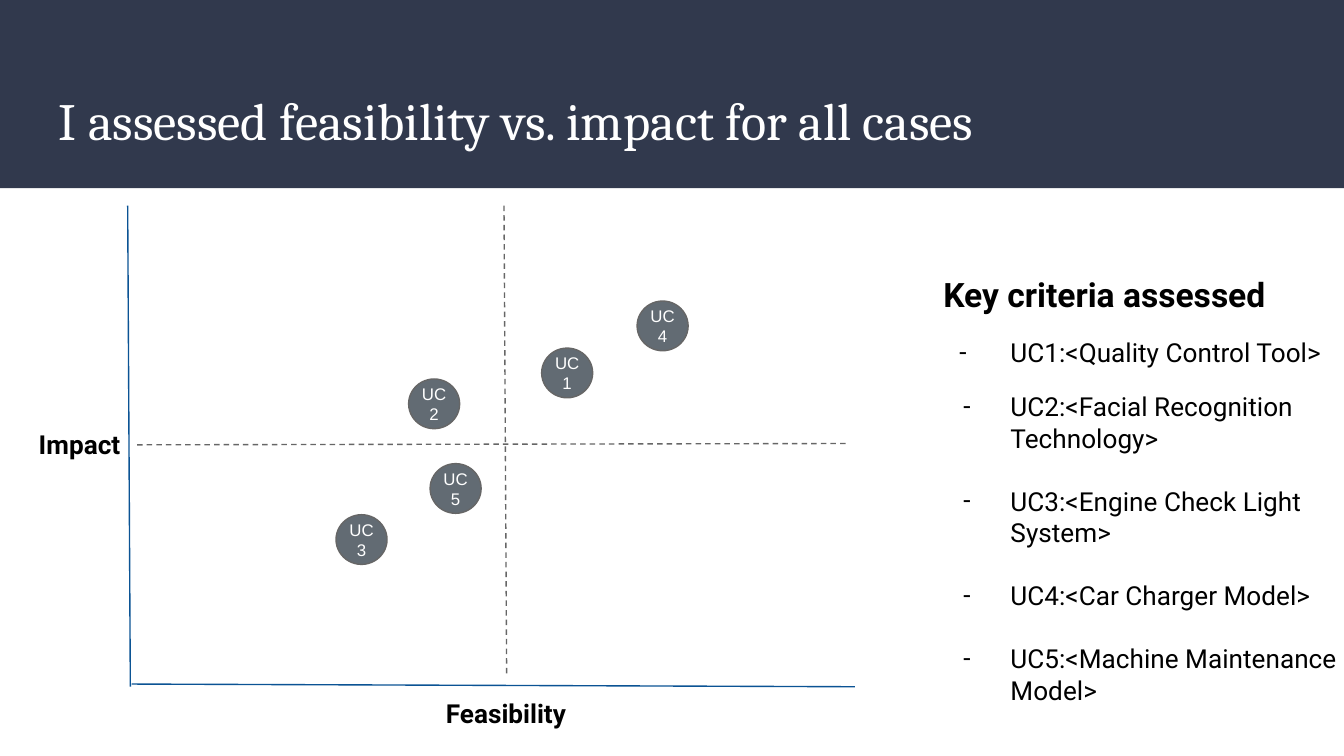
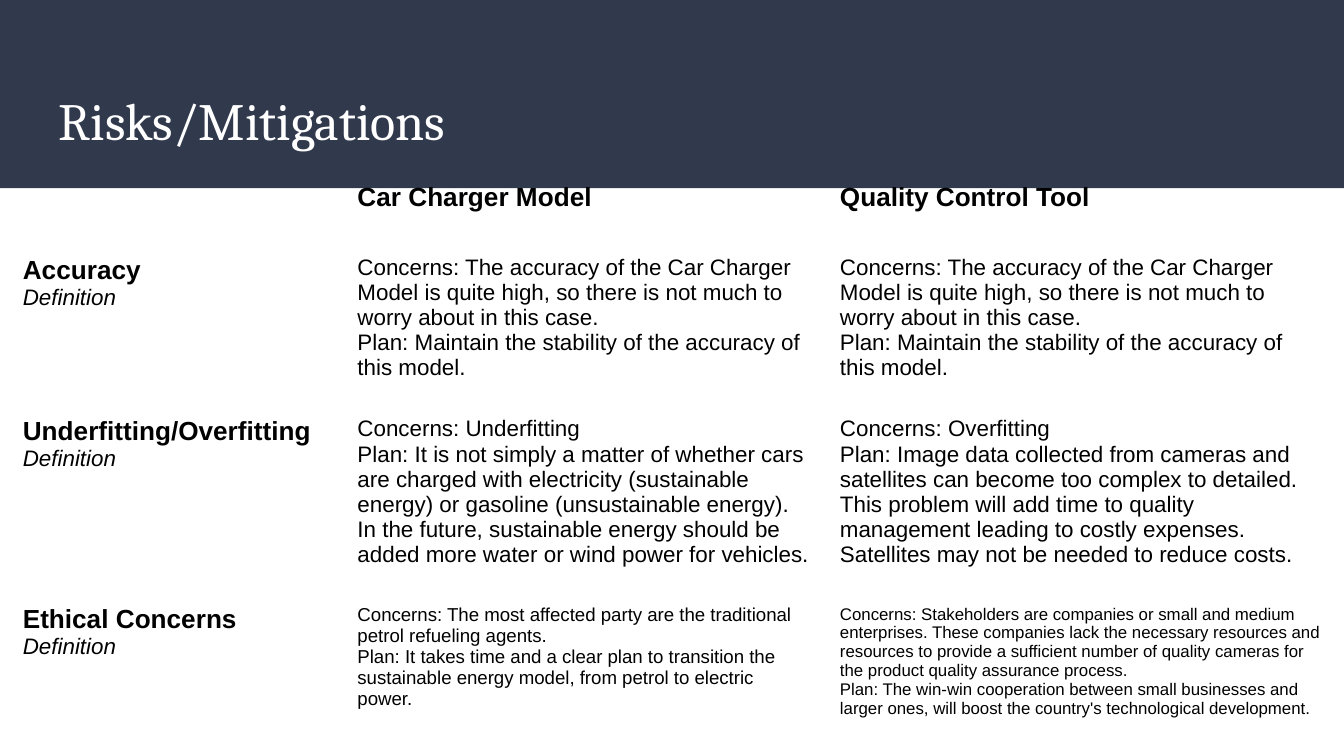
from lxml import etree
from pptx import Presentation
from pptx.dml.color import RGBColor
from pptx.enum.dml import MSO_LINE
from pptx.enum.shapes import MSO_CONNECTOR, MSO_SHAPE
from pptx.enum.text import MSO_ANCHOR, PP_ALIGN
from pptx.oxml.ns import qn
from pptx.util import Inches, Pt

RECT, OVAL = MSO_SHAPE.RECTANGLE, MSO_SHAPE.OVAL
STRAIGHT = MSO_CONNECTOR.STRAIGHT
DASH, SOLID = MSO_LINE.DASH, MSO_LINE.SOLID
MIDDLE = MSO_ANCHOR.MIDDLE
LEFT, CENTER = PP_ALIGN.LEFT, PP_ALIGN.CENTER
NO_STYLE = "{2D5ABB26-0587-4C30-8999-92F81FD0307C}"

COLORS = {k: RGBColor.from_string(v) for k, v in {
    "band": "31394D",
    "white": "FFFFFF",
    "black": "000000",
    "dot": "626B73",
    "grey": "666666",
    "axis": "0B5394",
}.items()}


def write(p, text, size=12, font="Arial", color="black", bold=False, italic=False, align=LEFT):
    p.alignment = align
    for i, line in enumerate(text.split("\n")):
        if i:
            p.add_line_break()
        if line:
            r = p.add_run()
            r.text = line
            r.font.size = Pt(size)
            r.font.name = font
            r.font.bold = bold
            r.font.italic = italic
            r.font.color.rgb = COLORS[color]


def add_box(s, x, y, w, h):
    tf = s.shapes.add_textbox(Inches(x), Inches(y), Inches(w), Inches(h)).text_frame
    tf.word_wrap = True
    tf.margin_left = tf.margin_right = tf.margin_top = tf.margin_bottom = Inches(0.1)
    return tf


prs = Presentation()
prs.slide_width = Inches(10)
prs.slide_height = Inches(5.625)

slides = []
for title in ["I assessed feasibility vs. impact for all cases", "Risks/Mitigations"]:
    s = prs.slides.add_slide(prs.slide_layouts[6])
    band = s.shapes.add_shape(RECT, 0, 0, prs.slide_width, Inches(1.4))
    band.shadow.inherit = False
    band.fill.solid()
    band.fill.fore_color.rgb = COLORS["band"]
    band.line.fill.background()
    tf = add_box(s, 0.34, 0.55, 9.32, 0.68)
    tf.vertical_anchor = MIDDLE
    write(tf.paragraphs[0], title, size=28, font="Cambria", color="white")
    slides.append(s)

matrix, risks = slides

LINES = [
    (3.75, 1.53, 3.77, 5.02, "grey", DASH),
    (1.02, 3.31, 6.31, 3.3, "grey", DASH),
    (0.95, 1.53, 0.97, 5.11, "axis", SOLID),
    (6.36, 5.11, 0.98, 5.09, "axis", SOLID),
]
for x1, y1, x2, y2, color, dash in LINES:
    line = matrix.shapes.add_connector(STRAIGHT, Inches(x1), Inches(y1), Inches(x2), Inches(y2))
    line.line.color.rgb = COLORS[color]
    line.line.width = Pt(0.75)
    line.line.dash_style = dash
    etree.SubElement(line._element.spPr, qn("a:effectLst"))

DOTS = [(4.03, 2.59), (3.04, 2.82), (2.5, 3.83), (4.74, 2.24), (3.2, 3.45)]
for n, (x, y) in enumerate(DOTS, 1):
    dot = matrix.shapes.add_shape(OVAL, Inches(x), Inches(y), Inches(0.38), Inches(0.37))
    dot.shadow.inherit = False
    dot.fill.solid()
    dot.fill.fore_color.rgb = COLORS["dot"]
    dot.line.color.rgb = COLORS["grey"]
    dot.line.width = Pt(0.75)
    tf = dot.text_frame
    tf.margin_left = tf.margin_right = tf.margin_top = tf.margin_bottom = 0
    tf.vertical_anchor = MIDDLE
    write(tf.paragraphs[0], f"UC\n{n}", size=9, color="white", align=CENTER)

for text, x, y, w, align in [("Impact", 0.19, 3.09, 0.83, LEFT),
                             ("Feasibility", 1.23, 5.09, 5.07, CENTER)]:
    tf = add_box(matrix, x, y, w, 0.45)
    write(tf.paragraphs[0], text, size=14, font="Roboto", bold=True, align=align)

tf = add_box(matrix, 6.92, 1.94, 3.19, 0.96)
write(tf.paragraphs[0], "Key criteria assessed", size=18, font="Roboto", bold=True)
CASES = [
    ("Quality Control Tool", 12, 0.38),
    ("Facial Recognition Technology", 12, 0.35),
    ("Engine Check Light System", 17, 0.35),
    ("Car Charger Model", 17, 0.35),
    ("Machine Maintenance Model", 17, 0.35),
]
for n, (case, gap, hang) in enumerate(CASES, 1):
    p = tf.add_paragraph()
    p.space_before = Pt(gap)
    write(p, f"UC{n}:<{case}>", size=14, font="Roboto")
    pPr = p._p.get_or_add_pPr()
    pPr.set("marL", str(Inches(0.5)))
    pPr.set("indent", str(-Inches(hang)))
    etree.SubElement(pPr, qn("a:buFont"), typeface="Roboto")
    etree.SubElement(pPr, qn("a:buChar"), char="-")

ACCURACY = [
    "Concerns: The accuracy of the Car Charger Model is quite high, so there is not much to worry about in this case.",
    "Plan: Maintain the stability of the accuracy of this model.",
]
HEADERS = ["", "Car Charger Model", "Quality Control Tool"]
ROWS = [
    ("Accuracy", (12, ACCURACY), (12, ACCURACY)),
    ("Underfitting/Overfitting",
     (12, ["Concerns: Underfitting",
           "Plan: It is not simply a matter of whether cars are charged with electricity "
           "(sustainable energy) or gasoline (unsustainable energy). In the future, sustainable "
           "energy should be added more water or wind power for vehicles."]),
     (12, ["Concerns: Overfitting",
           "Plan: Image data collected from cameras and satellites can become too complex to "
           "detailed. This problem will add time to quality management leading to costly "
           "expenses. Satellites may not be needed to reduce costs."])),
    ("Ethical Concerns",
     (10, ["Concerns: The most affected party are the traditional petrol refueling agents.",
           "Plan: It takes time and a clear plan to transition the sustainable energy model, "
           "from petrol to electric power."]),
     (9, ["Concerns: Stakeholders are companies or small and medium enterprises. These companies "
          "lack the necessary resources and resources to provide a sufficient number of quality "
          "cameras for the product quality assurance process.",
          "Plan: The win-win cooperation between small businesses and larger ones, will boost "
          "the country's technological development."])),
]
table = risks.shapes.add_table(4, 3, Inches(0.07), Inches(1.26), Inches(9.85), Inches(3.96)).table
table.first_row = table.horz_banding = False
table._tbl.tblPr.find(qn("a:tableStyleId")).text = NO_STYLE
for col, w in zip(table.columns, [2.49, 3.59, 3.77]):
    col.width = Inches(w)
for row, h in zip(table.rows, [0.54, 1.14, 1.14, 1.14]):
    row.height = Inches(h)
for cell in table.iter_cells():
    cell.fill.background()
    cell.margin_left = cell.margin_right = cell.margin_top = cell.margin_bottom = Inches(0.1)

for c, header in enumerate(HEADERS):
    write(table.cell(0, c).text_frame.paragraphs[0], header, size=14, bold=True)
for r, (label, *notes) in enumerate(ROWS, 1):
    p = table.cell(r, 0).text_frame.paragraphs[0]
    write(p, label + "\n", size=14, bold=True)
    write(p, "Definition", italic=True)
    for c, (size, (concerns, plan)) in enumerate(notes, 1):
        tf = table.cell(r, c).text_frame
        write(tf.paragraphs[0], concerns, size=size)
        write(tf.add_paragraph(), plan, size=size)

prs.save("out.pptx")
